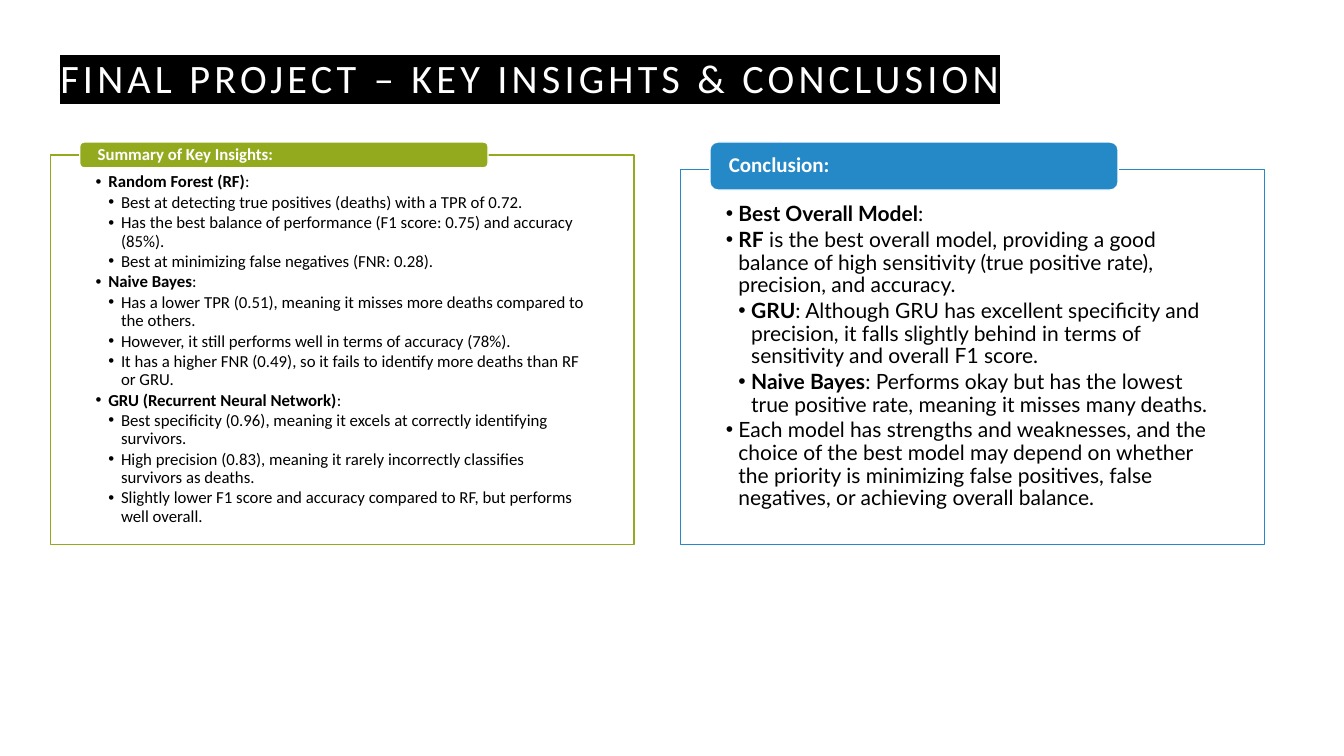
from dataclasses import dataclass

from lxml.etree import SubElement
from pptx import Presentation
from pptx.dml.color import RGBColor
from pptx.enum.shapes import MSO_SHAPE
from pptx.enum.text import MSO_ANCHOR, MSO_AUTO_SIZE, PP_ALIGN
from pptx.oxml import parse_xml
from pptx.oxml.ns import nsdecls, qn
from pptx.util import Cm, Pt


@dataclass(frozen=True)
class Theme:
    white: str = "FFFFFF"
    black: str = "000000"
    green: str = "93AA1F"
    blue: str = "2588C7"
    heading_font: str = "Calibri"
    reading_font: str = "Lato"
    title_size: float = 28.8
    small_size: float = 12
    large_size: float = 15


THEME = Theme()
TWO_CONTENT = 3
TAB_TOP = 3.58
PANEL_BOTTOM = 13.72
PANEL_WIDTH = 14.71

INSIGHTS = [
    (1, "Random Forest (RF)", ":"),
    (2, "", "Best at detecting true positives (deaths) with a TPR of 0.72."),
    (2, "", "Has the best balance of performance (F1 score: 0.75) and accuracy (85%)."),
    (2, "", "Best at minimizing false negatives (FNR: 0.28)."),
    (1, "Naive Bayes", ":"),
    (2, "", "Has a lower TPR (0.51), meaning it misses more deaths compared to the others."),
    (2, "", "However, it still performs well in terms of accuracy (78%)."),
    (2, "", "It has a higher FNR (0.49), so it fails to identify more deaths than RF or GRU."),
    (1, "GRU (Recurrent Neural Network)", ":"),
    (2, "", "Best specificity (0.96), meaning it excels at correctly identifying survivors."),
    (2, "", "High precision (0.83), meaning it rarely incorrectly classifies survivors as deaths."),
    (2, "", "Slightly lower F1 score and accuracy compared to RF, but performs well overall."),
]
CONCLUSION = [
    (1, "Best Overall Model", ":"),
    (1, "RF", " is the best overall model, providing a good balance of high sensitivity "
              "(true positive rate), precision, and accuracy."),
    (2, "GRU", ": Although GRU has excellent specificity and precision, it falls slightly "
               "behind in terms of sensitivity and overall F1 score."),
    (2, "Naive Bayes", ": Performs okay but has the lowest true positive rate, meaning it "
                       "misses many deaths."),
    (1, "", "Each model has strengths and weaknesses, and the choice of the best model may "
            "depend on whether the priority is minimizing false positives, false negatives, "
            "or achieving overall balance."),
]


def assign(target, **values):
    for name, value in values.items():
        setattr(target, name, value)


class SlideBuilder:
    def __init__(self, page, theme):
        self.page = page
        self.theme = theme

    def place(self, box, left, top, width, height):
        assign(box, left=Cm(left), top=Cm(top), width=Cm(width), height=Cm(height))

    def frame(self, box, anchor, insets):
        left, top, right, bottom = map(Cm, insets)
        assign(box.text_frame, word_wrap=True, auto_size=MSO_AUTO_SIZE.NONE,
               vertical_anchor=anchor, margin_left=left, margin_top=top,
               margin_right=right, margin_bottom=bottom)

    def paint(self, box, fill, line):
        box.fill.solid()
        box.fill.fore_color.rgb = RGBColor.from_string(fill)
        box.line.color.rgb = RGBColor.from_string(line)
        box.line.width = Pt(1)

    def span(self, para, text, size, font, color, bold=False):
        run = para.add_run()
        run.text = text
        assign(run.font, size=Pt(size), bold=bold)
        run.font.color.rgb = RGBColor.from_string(color)
        run.font.name = font
        return run

    def title(self, text):
        theme = self.theme
        box = self.page.shapes.title
        self.place(box, 1.27, 0.48, 28.68, 2.21)
        self.frame(box, MSO_ANCHOR.BOTTOM, (0.25, 0.13, 0.25, 0.13))
        para = box.text_frame.paragraphs[0]
        assign(para, alignment=PP_ALIGN.LEFT, line_spacing=1.2)
        run = self.span(para, text, theme.title_size, theme.heading_font, theme.white)
        properties = run.font._element
        properties.set("spc", "300")
        properties.find(qn("a:latin")).addprevious(parse_xml(
            f'<a:highlight {nsdecls("a")}><a:srgbClr val="{theme.black}"/></a:highlight>'))

    def bullet(self, para, level):
        properties = para._p.get_or_add_pPr()
        properties.set("marL", str(Cm(0.32 * level)))
        properties.set("indent", str(Cm(-0.32)))
        SubElement(properties, qn("a:buChar")).set("char", "•")

    def body(self, box, items, left, top, insets, size, font, color):
        self.place(box, left, top, PANEL_WIDTH, PANEL_BOTTOM - top)
        self.paint(box, self.theme.white, color)
        self.frame(box, MSO_ANCHOR.TOP, insets)
        words = box.text_frame
        for number, (level, strong, plain) in enumerate(items):
            para = words.add_paragraph() if number else words.paragraphs[0]
            assign(para, level=level, alignment=PP_ALIGN.LEFT, line_spacing=0.9,
                   space_before=Pt(0), space_after=Pt(0.14 * size))
            self.bullet(para, level)
            for text, bold in ((strong, True), (plain, False)):
                if text:
                    self.span(para, text, size, font, self.theme.black, bold)

    def tab(self, text, left, height, size, color):
        box = self.page.shapes.add_shape(
            MSO_SHAPE.ROUNDED_RECTANGLE, Cm(left), Cm(TAB_TOP), Cm(10.29), Cm(height))
        box.shadow.inherit = False
        self.paint(box, color, self.theme.white)
        self.frame(box, MSO_ANCHOR.MIDDLE, (0.42, 0, 0.42, 0))
        para = box.text_frame.paragraphs[0]
        assign(para, alignment=PP_ALIGN.LEFT, line_spacing=0.9)
        self.span(para, text, size, self.theme.heading_font, self.theme.white, True)

    def panel(self, box, heading, items, left, top, tab_height, insets, size, font, color):
        self.body(box, items, left, top, insets, size, font, color)
        self.tab(heading, left + 0.74, tab_height, size, color)


def main():
    deck = Presentation()
    assign(deck, slide_width=Cm(33.87), slide_height=Cm(19.05))
    page = deck.slides.add_slide(deck.slide_layouts[TWO_CONTENT])
    builder = SlideBuilder(page, THEME)
    builder.title("FINAL PROJECT – KEY INSIGHTS & CONCLUSION")
    builder.panel(page.placeholders[1], "Summary of Key Insights:", INSIGHTS,
                  left=1.27, top=3.91, tab_height=0.65, insets=(1.14, 0.46, 1.14, 0.23),
                  size=THEME.small_size, font=THEME.heading_font, color=THEME.green)
    builder.panel(page.placeholders[2], "Conclusion:", CONCLUSION,
                  left=17.15, top=4.27, tab_height=1.21, insets=(1.14, 0.86, 1.14, 0.3),
                  size=THEME.large_size, font=THEME.reading_font, color=THEME.blue)
    deck.save("out.pptx")


if __name__ == "__main__":
    main()
